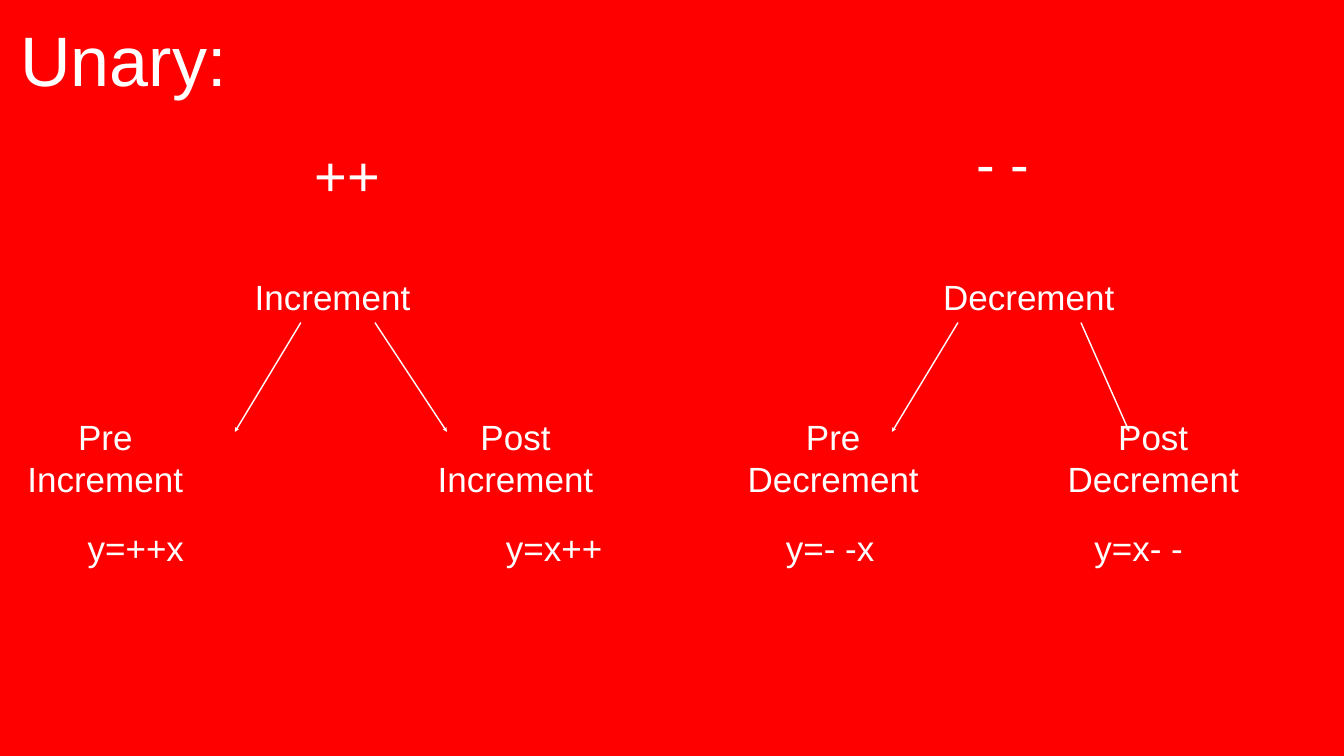
import pptx
import pptx.util
import pptx.dml.color
import pptx.enum.shapes
import pptx.enum.text
import pptx.oxml
import pptx.oxml.ns

COLORS = {"background": "FF0000", "ink": "FFFFFF"}
FONT = "Arial"
COLUMNS, ROWS = 26.67, 15
CELL = pptx.util.Inches(1)
PADDING = 0.06
LABEL_HEIGHT, SYMBOL_HEIGHT = 0.94, 1.44
ROW = {"name": 2.92, "arrow_start": 3.91, "arrow_end": 6.08, "form": 6.12, "example": 7.91}

TREES = [
    {
        "box": (0.47, 2.49),
        "symbol": ("++", 5.63, 0.24, 1.59),
        "name": ("Increment", 4.51, 3.24),
        "forms": [("Pre Increment", 0, 4.46), ("Post Increment", 8.14, 4.78)],
        "examples": [("y=++x", 1.13, 2.19), ("y=x++", 9.43, 2.19)],
        "arrows": [(5.5, 4.19), (6.97, 8.4)],
    },
    {
        "box": (14.76, 2.49),
        "symbol": ("- -", 4.56, 0, 1.17),
        "name": ("Decrement", 3.88, 3.55),
        "forms": [("Pre Decrement", 0, 4.77), ("Post Decrement", 6.35, 5.09)],
        "examples": [("y=- -x", 0.75, 1.93), ("y=x- -", 6.87, 1.93)],
        "arrows": [(4.25, 2.94), (6.69, 7.65)],
    },
]


def cells(count):
    """Convert grid cells to slide units."""
    return round(count * CELL)


def rgb(role):
    """Return the colour that plays a role."""
    return pptx.dml.color.RGBColor.from_string(COLORS[role])


def write(holder, text, size, text_width=None):
    """Write centred text, wrapped to text_width from the left when given."""
    frame = holder.text_frame
    frame.text = text
    frame.auto_size = pptx.enum.text.MSO_AUTO_SIZE.NONE
    frame.word_wrap = text_width is not None
    frame.vertical_anchor = pptx.enum.text.MSO_ANCHOR.MIDDLE
    frame.margin_left = frame.margin_top = frame.margin_bottom = cells(PADDING)
    frame.margin_right = cells(PADDING)
    if text_width is not None:
        frame.margin_right += holder.width - cells(text_width)
    paragraph = frame.paragraphs[0]
    paragraph.alignment = pptx.enum.text.PP_ALIGN.CENTER
    paragraph.font.name = FONT
    paragraph.font.size = pptx.util.Pt(size)
    paragraph.font.color.rgb = rgb("ink")


def add_label(slide, text, box, size=50, text_width=None):
    """Add a text box at left, top, width, height in cells."""
    label = slide.shapes.add_textbox(*map(cells, box))
    write(label, text, size, text_width)


def add_arrow(slide, start, end):
    """Add a thin arrow between two grid points."""
    arrow = slide.shapes.add_connector(
        pptx.enum.shapes.MSO_CONNECTOR.STRAIGHT, *map(cells, start + end))
    arrow.line.color.rgb = rgb("ink")
    arrow.line.width = pptx.util.Pt(2)
    head = pptx.oxml.parse_xml(
        f'<a:tailEnd {pptx.oxml.ns.nsdecls("a")} type="triangle"/>')
    arrow.line._get_or_add_ln().append(head)
    arrow._element.spPr.append(
        pptx.oxml.parse_xml(f'<a:effectLst {pptx.oxml.ns.nsdecls("a")}/>'))


def add_title(slide, text, box):
    """Place and format the title."""
    title = slide.shapes.title
    title.left, title.top, title.width, title.height = map(cells, box)
    write(title, text, 100)


def add_tree(slide, tree):
    """Draw an operator with its two forms and their examples."""
    left, top = tree["box"]
    symbol, column, row, width = tree["symbol"]
    add_label(slide, symbol, (left + column, top + row, width, SYMBOL_HEIGHT), 80)

    name, column, name_width = tree["name"]
    add_label(slide, name, (left + column, top + ROW["name"], name_width, LABEL_HEIGHT))

    for part, text_width in (("form", name_width), ("example", None)):
        for text, column, width in tree[part + "s"]:
            box = (left + column, top + ROW[part], width, LABEL_HEIGHT)
            add_label(slide, text, box, text_width=text_width)

    for start, end in tree["arrows"]:
        add_arrow(slide, (left + start, top + ROW["arrow_start"]),
                  (left + end, top + ROW["arrow_end"]))


def main():
    """Build the slide on unary operators."""
    presentation = pptx.Presentation()
    presentation.slide_width = cells(COLUMNS)
    presentation.slide_height = cells(ROWS)
    slide = presentation.slides.add_slide(presentation.slide_layouts[5])
    slide.background.fill.solid()
    slide.background.fill.fore_color.rgb = rgb("background")
    add_title(slide, "Unary:", (0.33, 0.28, 4.24, 1.78))
    for tree in TREES:
        add_tree(slide, tree)
    presentation.save("out.pptx")


if __name__ == "__main__":
    main()
